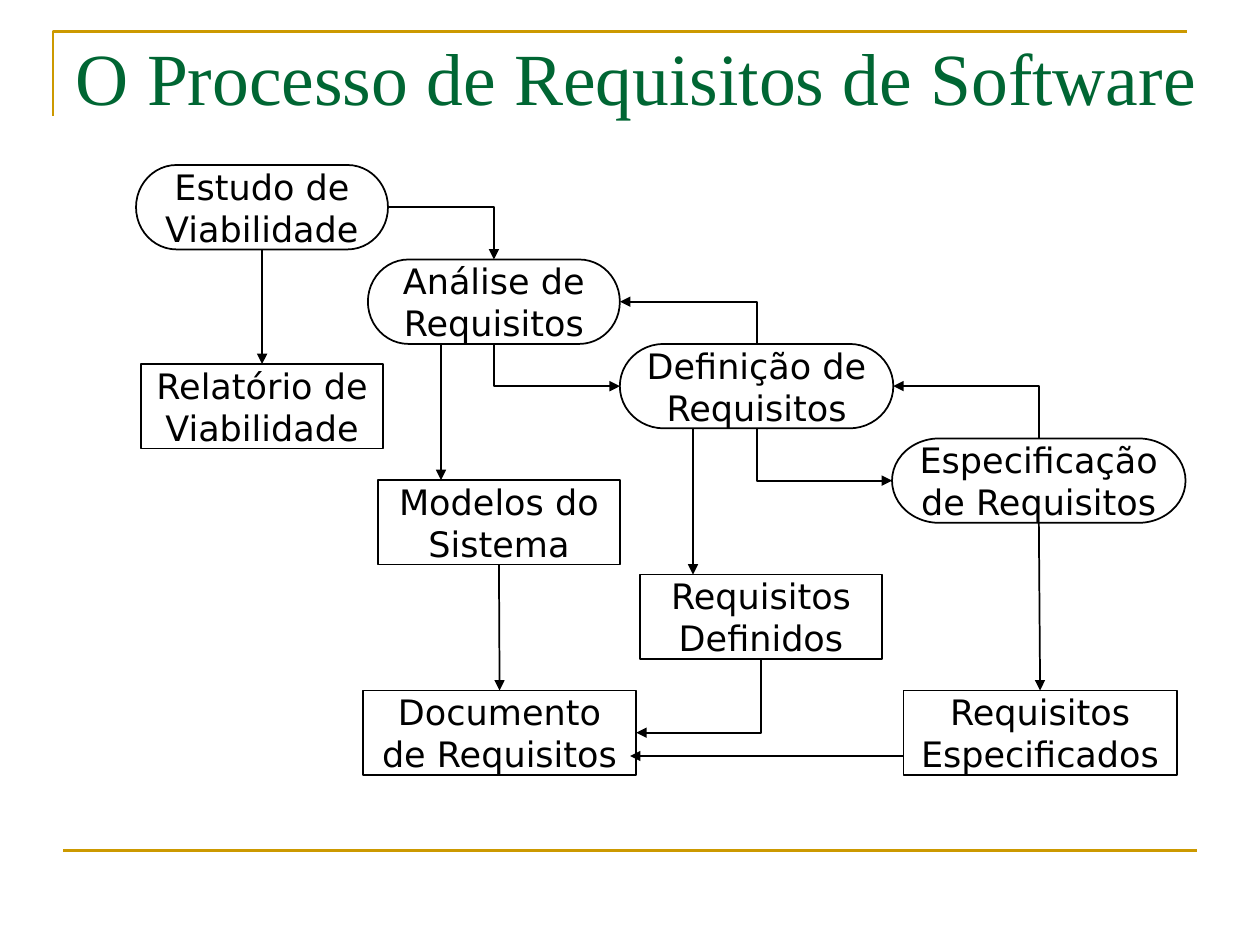
from pptx import Presentation
from pptx.dml.color import RGBColor
from pptx.enum.shapes import MSO_CONNECTOR as Connector, MSO_SHAPE as Shape
from pptx.enum.text import MSO_ANCHOR as Anchor, MSO_AUTO_SIZE as AutoSize, PP_ALIGN as Align
from pptx.oxml.ns import qn
from pptx.util import Inches, Pt
from lxml.etree import SubElement

GOLD, GREEN, BLACK, WHITE = "CC9900", "006633", "000000", "FFFFFF"
NODE_HEIGHT = 0.67

# name: text, left, top, width, in inches from the corner of the diagram
STAGES = {
    "study": ("Estudo de Viabilidade", 0, 0, 2),
    "analysis": ("Análise de Requisitos", 1.84, 0.75, 2),
    "definition": ("Definição de Requisitos", 3.84, 1.42, 2.17),
    "specification": ("Especificação de Requisitos", 6, 2.17, 2.33),
}
PRODUCTS = {
    "report": ("Relatório de Viabilidade", 0.04, 1.58, 1.92),
    "models": ("Modelos do Sistema", 1.92, 2.5, 1.92),
    "defined": ("Requisitos Definidos", 4, 3.25, 1.92),
    "specified": ("Requisitos Especificados", 6.09, 4.17, 2.17),
    "document": ("Documento de Requisitos", 1.8, 4.17, 2.17),
}
ELBOWS = [
    ("study", "right", "analysis", "top"),
    ("analysis", "bottom", "definition", "left"),
    ("definition", "top", "analysis", "right"),
    ("definition", "bottom", "specification", "left"),
    ("specification", "top", "definition", "right"),
    ("defined", "bottom", "document", "right"),
]
DROPS = [
    ("study", "report"),
    ("models", "document"),
    ("specification", "specified"),
]
# drops that leave the stage left of its middle: stage, product, distance from left
SIDE_DROPS = [("analysis", "models", 0.58), ("definition", "defined", 0.58)]


def color(value):
    return RGBColor.from_string(value)


def set_line(shape, value, width):
    shape.line.color.rgb = color(value)
    shape.line.width = Pt(width)


def write(frame, text, *, font, size, value, align, anchor):
    frame.word_wrap = True
    frame.auto_size = AutoSize.NONE
    frame.vertical_anchor = anchor
    para = frame.paragraphs[0]
    para.alignment = align
    span = para.add_run()
    span.text = text
    span.font.name = font
    span.font.size = Pt(size)
    span.font.color.rgb = color(value)


def add_line(page, start, end, value=BLACK, width=1, kind=Connector.STRAIGHT, arrow=True):
    line = page.shapes.add_connector(kind, *start, *end)
    set_line(line, value, width)
    if arrow:
        SubElement(line.line._get_or_add_ln(), qn("a:tailEnd"), type="triangle")
    SubElement(line._element.spPr, qn("a:effectLst"))
    return line


def add_elbow(page, start, end, vertical_first):
    """Add an arrow with a single right-angle bend."""
    line = add_line(page, start, end, kind=Connector.ELBOW)
    properties = line._element.spPr
    properties.find(qn("a:prstGeom")).set("prst", "bentConnector2")
    if vertical_first:
        (x1, y1), (x2, y2) = start, end
        width, height = abs(y2 - y1), abs(x2 - x1)
        line.left, line.top = (x1 + x2 - width) // 2, (y1 + y2 - height) // 2
        line.width, line.height = width, height
        transform = properties.find(qn("a:xfrm"))
        transform.set("rot", str(270 * 60000))
        transform.set("flipH", str(int(y2 > y1)))
        transform.set("flipV", str(int(x2 < x1)))


def site(node, side):
    """Return the middle of one side of a node."""
    middle_x, middle_y = node.left + node.width // 2, node.top + node.height // 2
    return {
        "top": (middle_x, node.top),
        "bottom": (middle_x, node.top + node.height),
        "left": (node.left, middle_y),
        "right": (node.left + node.width, middle_y),
    }[side]


def add_node(page, preset, text, left, top, width):
    node = page.shapes.add_shape(preset, left, top, width, Inches(NODE_HEIGHT))
    node.shadow.inherit = False
    node.fill.solid()
    node.fill.fore_color.rgb = color(WHITE)
    set_line(node, BLACK, 1)
    write(node.text_frame, text, font="DejaVu Sans", size=20, value=BLACK,
          align=Align.CENTER, anchor=Anchor.MIDDLE)
    return node


def add_frame(page, left, top, width, height):
    """Add the gold corner above the title and the rule at the foot."""
    builder = page.shapes.build_freeform(left, top + Inches(0.67))
    builder.add_line_segments([(left, top), (left + width, top)], close=False)
    corner = builder.convert_to_shape()
    corner.shadow.inherit = False
    corner.fill.background()
    set_line(corner, GOLD, 1.5)
    foot_left, foot = left + Inches(0.08), top + height
    add_line(page, (foot_left, foot), (foot_left + width, foot), GOLD, 1.5, arrow=False)


def add_title(page, text, left, top, width, height):
    title = page.shapes.title
    title.left, title.top, title.width, title.height = left, top, width, height
    write(title.text_frame, text, font="Times New Roman", size=42, value=GREEN,
          align=Align.JUSTIFY, anchor=Anchor.TOP)
    title.text_frame.margin_top = Inches(0.12)


def add_diagram(page, left, top):
    nodes = {}
    for preset, group in ((Shape.FLOWCHART_TERMINATOR, STAGES),
                          (Shape.FLOWCHART_PROCESS, PRODUCTS)):
        for name, (text, x, y, width) in group.items():
            nodes[name] = add_node(page, preset, text, left + Inches(x),
                                   top + Inches(y), Inches(width))

    for source, side, target, target_side in ELBOWS:
        add_elbow(page, site(nodes[source], side), site(nodes[target], target_side),
                  vertical_first=side in ("top", "bottom"))
    for source, target in DROPS:
        add_line(page, site(nodes[source], "bottom"), site(nodes[target], "top"))
    for source, target, offset in SIDE_DROPS:
        x = nodes[source].left + Inches(offset)
        add_line(page, (x, site(nodes[source], "bottom")[1]), (x, nodes[target].top))

    document, specified = nodes["document"], nodes["specified"]
    y = document.top + Inches(0.52)
    document_edge = site(document, "right")[0]
    add_line(page, (specified.left, y), (document_edge - Inches(0.05), y))


def main():
    deck = Presentation()
    deck.slide_width, deck.slide_height = Inches(10), Inches(7.5)
    page = deck.slides.add_slide(deck.slide_layouts[5])
    add_frame(page, Inches(0.42), Inches(0.25), Inches(9), Inches(6.5))
    add_title(page, "O Processo de Requisitos de Software",
              Inches(0.5), Inches(0.13), Inches(9.23), Inches(1.25))
    add_diagram(page, Inches(1.08), Inches(1.31))
    deck.save("out.pptx")


if __name__ == "__main__":
    main()
